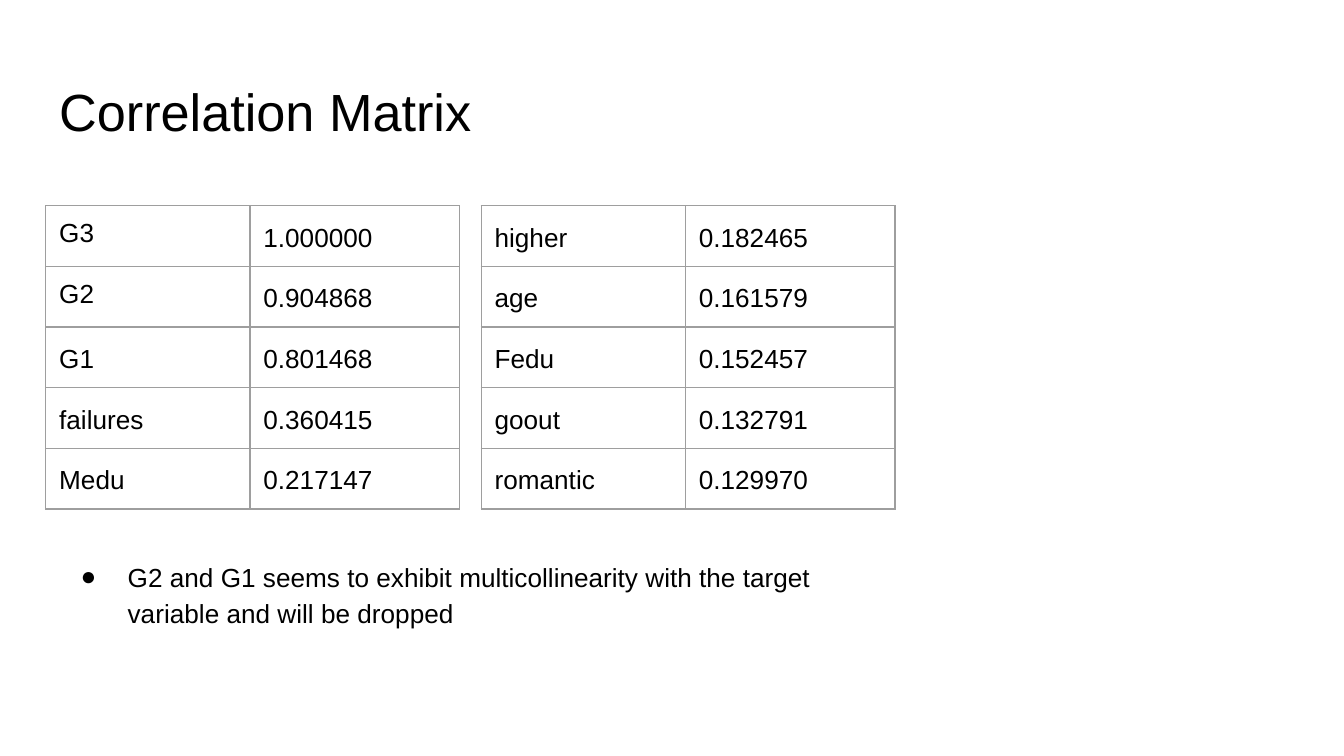
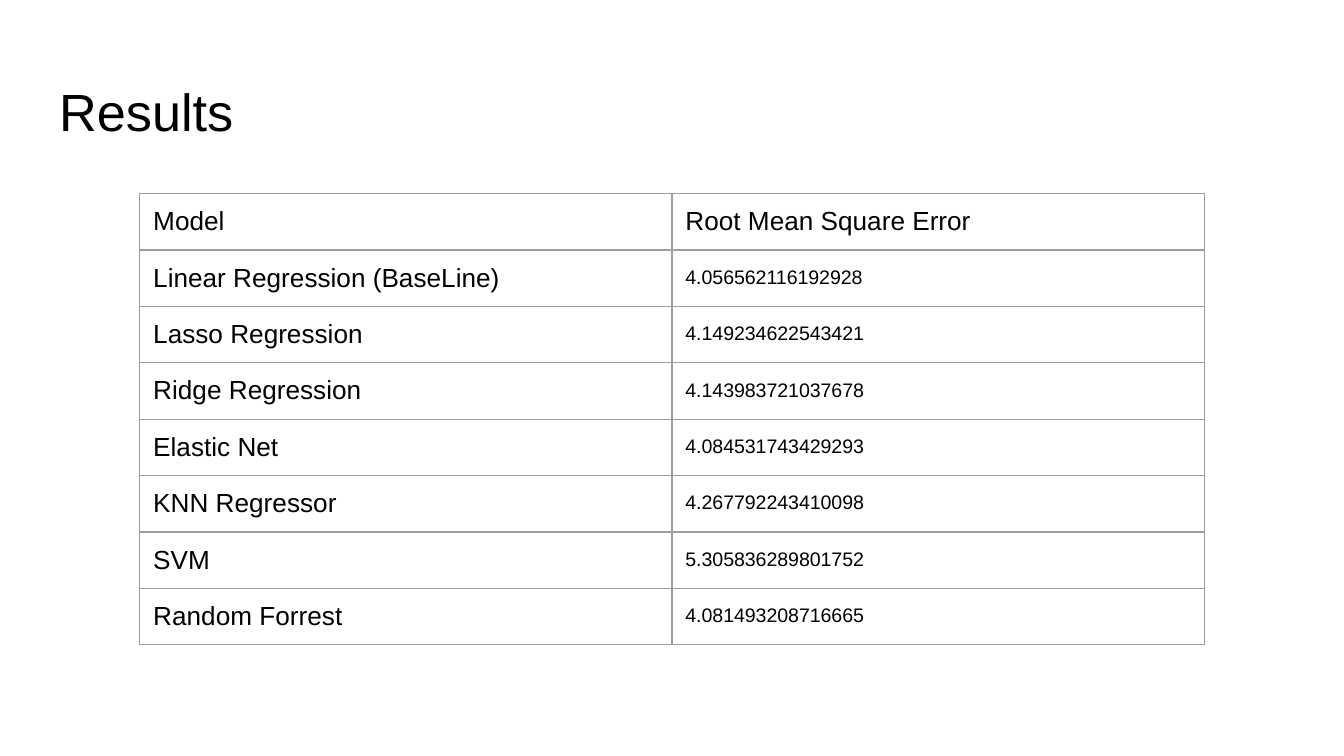
from lxml.etree import SubElement
from pptx import Presentation
from pptx.dml.color import RGBColor
from pptx.enum.text import MSO_ANCHOR as Anchor, MSO_AUTO_SIZE as AutoSize, PP_ALIGN as Align
from pptx.oxml.ns import qn
from pptx.util import Inches, Pt

# Shared style
BLACK = RGBColor(0x00, 0x00, 0x00)
WHITE = RGBColor(0xFF, 0xFF, 0xFF)
GREY = RGBColor(0x9E, 0x9E, 0x9E)
FONT = "Arial"
TITLE_SIZE, TEXT_SIZE, VALUE_SIZE = 28, 14, 10.5
LOOSE = 1.15
INSET = Inches(0.1)
ROW_HEIGHT = 0.42
TITLE_AND_BODY, TITLE_ONLY = 1, 5

# Content
STRONGEST = [
    ("G3", "1.000000"),
    ("G2", "0.904868"),
    ("G1", "0.801468"),
    ("failures", "0.360415"),
    ("Medu", "0.217147"),
]
WEAKER = [
    ("higher", "0.182465"),
    ("age", "0.161579"),
    ("Fedu", "0.152457"),
    ("goout", "0.132791"),
    ("romantic", "0.129970"),
]
RESULTS = [
    ("Model", "Root Mean Square Error"),
    ("Linear Regression (BaseLine)", "4.056562116192928"),
    ("Lasso Regression", "4.149234622543421"),
    ("Ridge Regression", "4.143983721037678"),
    ("Elastic Net", "4.084531743429293"),
    ("KNN Regressor", "4.267792243410098"),
    ("SVM", "5.305836289801752"),
    ("Random Forrest", "4.081493208716665"),
]


def format_paragraph(para, size, spacing=1.0):
    para.alignment = Align.LEFT
    para.line_spacing = spacing
    para.font.name = FONT
    para.font.size = Pt(size)
    para.font.color.rgb = BLACK


def fill_placeholder(box, text, left, top, width, height):
    """Move a placeholder, set its text and return the paragraph."""
    box.left, box.top = Inches(left), Inches(top)
    box.width, box.height = Inches(width), Inches(height)
    frame = box.text_frame
    frame.margin_left = frame.margin_right = INSET
    frame.margin_top = frame.margin_bottom = INSET
    frame.vertical_anchor = Anchor.TOP
    frame.word_wrap = True
    frame.auto_size = AutoSize.NONE
    frame.text = text
    return frame.paragraphs[0]


def add_page(deck, layout, title):
    page = deck.slides.add_slide(deck.slide_layouts[layout])
    page.background.fill.solid()
    page.background.fill.fore_color.rgb = WHITE
    para = fill_placeholder(page.shapes.title, title, 0.34, 0.49, 9.32, 0.63)
    format_paragraph(para, TITLE_SIZE)
    return page


def add_bullet(page, text):
    para = fill_placeholder(page.placeholders[1], text, 0.35, 4.04, 6.32, 1.58)
    format_paragraph(para, TEXT_SIZE, LOOSE)
    para.space_before = Pt(11)
    props = para._p.get_or_add_pPr()
    props.set("marL", str(Inches(0.5)))
    props.set("indent", str(Inches(-0.35)))
    # Bullet colour and sign stand between the spacing and the run defaults
    defaults = props.find(qn("a:defRPr"))
    colour = SubElement(props, qn("a:buClr"))
    SubElement(colour, qn("a:srgbClr"), val=str(BLACK))
    sign = SubElement(props, qn("a:buChar"), char="●")
    for item in (colour, sign):
        defaults.addprevious(item)


def set_borders(cell):
    props = cell._tc.get_or_add_tcPr()
    for side in ("a:lnL", "a:lnR", "a:lnT", "a:lnB"):
        line = SubElement(props, qn(side), w=str(Pt(0.75)))
        fill = SubElement(line, qn("a:solidFill"))
        SubElement(fill, qn("a:srgbClr"), val=str(GREY))


def add_grid(page, rows, left, top, widths, cell_style):
    """Add a bordered table; cell_style(row, col) gives text size and line spacing."""
    frame = page.shapes.add_table(
        len(rows), len(widths), Inches(left), Inches(top),
        Inches(sum(widths)), Inches(ROW_HEIGHT * len(rows)))
    table = frame.table
    table.first_row = table.horz_banding = False
    for column, width in zip(table.columns, widths):
        column.width = Inches(width)
    for r, row in enumerate(rows):
        table.rows[r].height = Inches(ROW_HEIGHT)
        for c, text in enumerate(row):
            cell = table.cell(r, c)
            cell.margin_left = cell.margin_right = INSET
            cell.margin_top = cell.margin_bottom = INSET
            set_borders(cell)
            cell.fill.background()
            cell.text = text
            format_paragraph(cell.text_frame.paragraphs[0], *cell_style(r, c))


def strongest_style(row, col):
    return TEXT_SIZE, 1.0 if col == 0 and row < 2 else LOOSE


def weaker_style(row, col):
    return TEXT_SIZE, LOOSE


def results_style(row, col):
    return (VALUE_SIZE, LOOSE) if row and col else (TEXT_SIZE, 1.0)


def main():
    deck = Presentation()
    deck.slide_width = Inches(10)
    deck.slide_height = Inches(10) * 9 // 16

    # Correlations with the target variable
    page = add_page(deck, TITLE_AND_BODY, "Correlation Matrix")
    widths = (1.52, 1.56)
    add_grid(page, STRONGEST, 0.34, 1.53, widths, strongest_style)
    add_grid(page, WEAKER, 3.58, 1.53, widths, weaker_style)
    add_bullet(page, "G2 and G1 seems to exhibit multicollinearity with the "
                     "target variable and will be dropped")

    # Error of each model
    page = add_page(deck, TITLE_ONLY, "Results")
    add_grid(page, RESULTS, 1.04, 1.44, (3.96, 3.96), results_style)

    deck.save("out.pptx")


if __name__ == "__main__":
    main()
